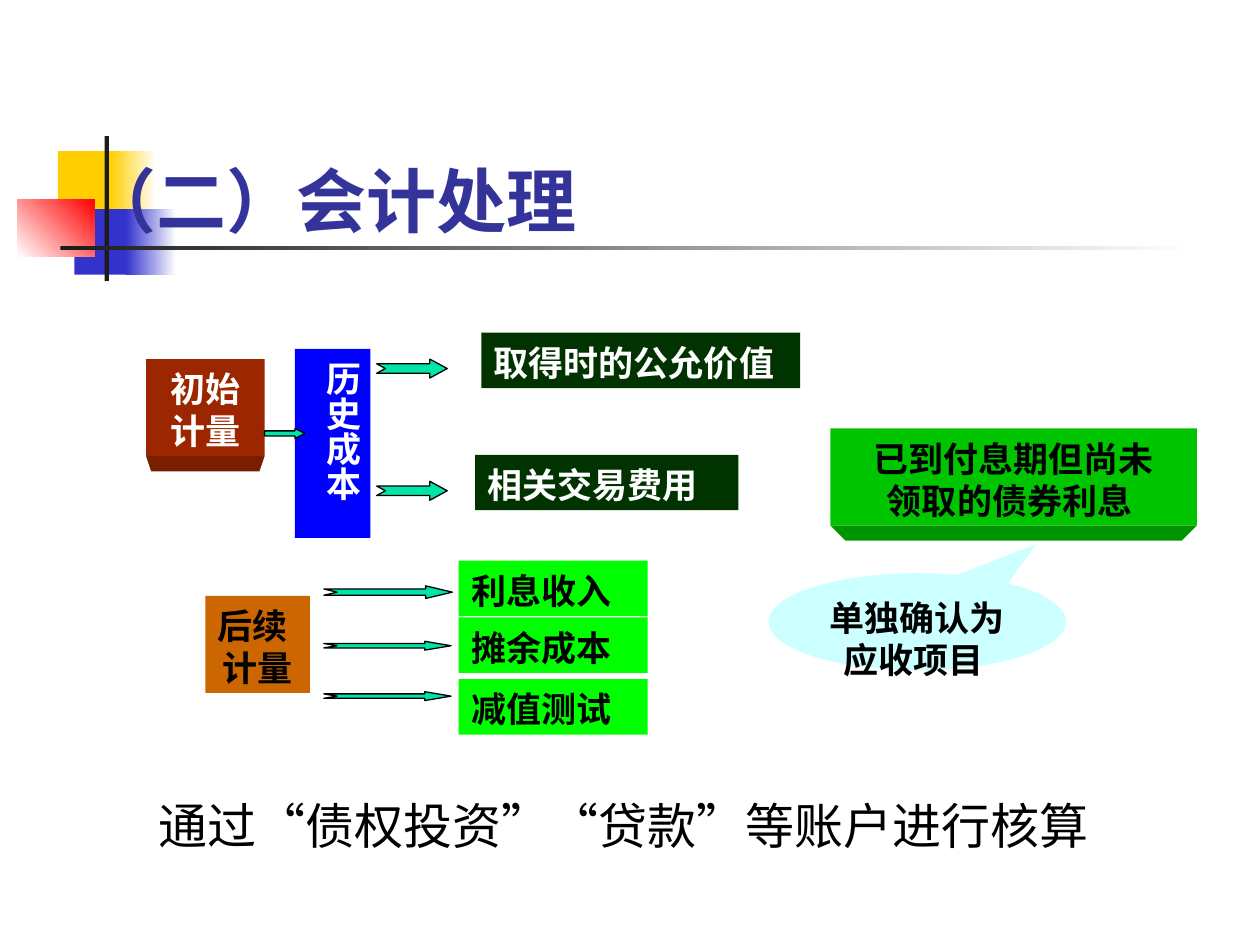
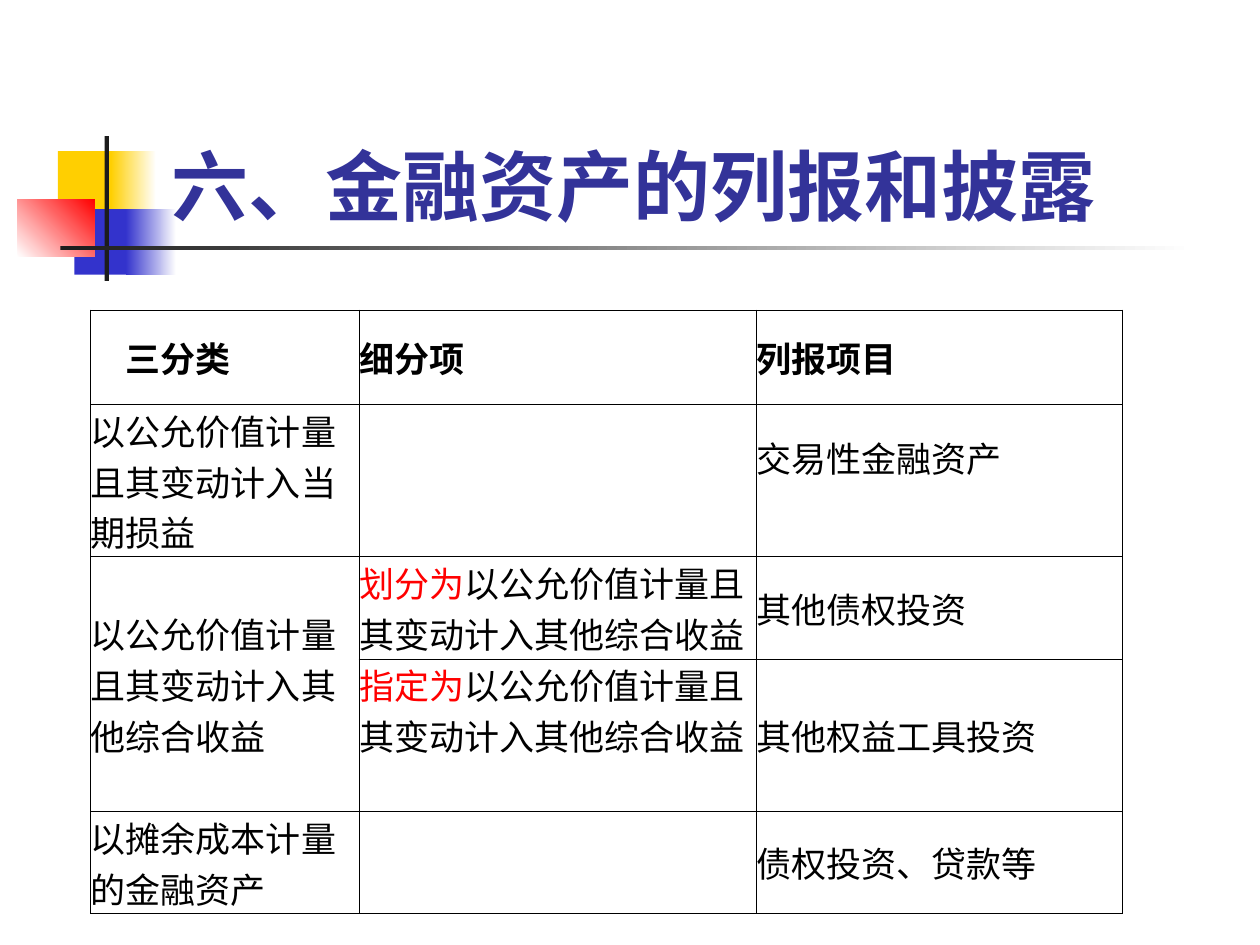
import pptx
import pptx.dml.color
import pptx.enum.lang
import pptx.enum.shapes
import pptx.enum.text
import pptx.oxml
import pptx.oxml.ns
import pptx.util

RGBColor = pptx.dml.color.RGBColor
SHAPE = pptx.enum.shapes.MSO_SHAPE
ALIGN = pptx.enum.text.PP_ALIGN
ANCHOR = pptx.enum.text.MSO_ANCHOR

WHITE = RGBColor(0xFF, 0xFF, 0xFF)
BLACK = RGBColor(0x00, 0x00, 0x00)
YELLOW = RGBColor(0xFF, 0xCF, 0x01)
BLUE = RGBColor(0x33, 0x33, 0xCC)
RED = RGBColor(0xFF, 0x00, 0x00)
CHARCOAL = RGBColor(0x1C, 0x1C, 0x1C)
TITLE_BLUE = RGBColor(0x33, 0x33, 0x99)
BRICK = RGBColor(0x9C, 0x26, 0x00)
BRICK_EDGE = RGBColor(0x7A, 0x1E, 0x00)
GREEN = RGBColor(0x00, 0xC4, 0x00)
GREEN_EDGE = RGBColor(0x00, 0x94, 0x00)
FOREST = RGBColor(0x00, 0x33, 0x00)
LIME = RGBColor(0x00, 0xFF, 0x00)
ROYAL = RGBColor(0x00, 0x00, 0xFF)
ORANGE = RGBColor(0xCC, 0x66, 0x00)
MINT = RGBColor(0x00, 0xE4, 0xA8)
PALE_CYAN = RGBColor(0xCC, 0xFF, 0xFF)
SANS = "Noto Sans CJK SC"
TABLE_SANS = "Noto Sans CJK JP"
TITLE_FONT = "Lato"

deck = pptx.Presentation()
deck.slide_width = pptx.util.Inches(10)
deck.slide_height = pptx.util.Inches(7.5)
COLUMN = deck.slide_width // 100
ROW = deck.slide_height // 75


def add_block(page, kind, area, fill, outlined=False):
    left, top, width, height = area
    block = page.shapes.add_shape(
        kind, round(left * COLUMN), round(top * ROW), round(width * COLUMN), round(height * ROW))
    block.shadow.inherit = False
    if isinstance(fill, RGBColor):
        block.fill.solid()
        block.fill.fore_color.rgb = fill
    else:
        start, end, angle = fill
        block.fill.gradient()
        block.fill.gradient_angle = angle
        for stop, color in zip(block.fill.gradient_stops, (start, end)):
            stop.color.rgb = color
    if outlined:
        block.line.color.rgb = BLACK
        block.line.width = pptx.util.Pt(0.75)
    else:
        block.line.fill.background()
    return block


def style_paragraph(para, size, color, bold, latin=SANS, asian=SANS, align=ALIGN.LEFT):
    para.alignment = align
    for span in para.runs:
        span.font.size = pptx.util.Pt(size)
        span.font.bold = bold
        span.font.color.rgb = color
        span.font.name = latin
        span.font.language_id = pptx.enum.lang.MSO_LANGUAGE_ID.SIMPLIFIED_CHINESE
        face = pptx.oxml.parse_xml(f'<a:ea {pptx.oxml.ns.nsdecls("a")} typeface="{asian}"/>')
        span.font._element.find(pptx.oxml.ns.qn("a:latin")).addnext(face)


layout = deck.slide_layouts[5]
diagram = deck.slides.add_slide(layout)
report = deck.slides.add_slide(layout)

ornaments = [
    ((4.6, 12, 4.8, 5.2), YELLOW),
    ((8.8, 12, 3.6, 5.2), (YELLOW, WHITE, 0)),
    ((5.9, 16.6, 4.6, 5.2), BLUE),
    ((10, 16.6, 4, 5.2), (BLUE, WHITE, 0)),
    ((1.4, 15.8, 6.1, 4.6), (WHITE, RED, 45)),
    ((8.3, 10.8, 0.35, 11.5), CHARCOAL),
    ((4.8, 19.5, 90, 0.35), (CHARCOAL, WHITE, 0)),
]
for index, (area, fill) in enumerate(ornaments):
    ornament = add_block(diagram, SHAPE.RECTANGLE, area, fill)
    ornament.element.nvSpPr.cNvPr.set("id", str(20 + index))
    layout.shapes.element.insert(2 + index, ornament.element)

titles = [
    (diagram, "（二）会计处理", (5.9, 9.8, 90, 9.4), 40),
    (report, "六、金融资产的列报和披露", (12.6, 2.3, 85.2, 16), 44),
]
for page, words, (left, top, width, height), size in titles:
    title = page.shapes.title
    title.left, title.top = round(left * COLUMN), round(top * ROW)
    title.width, title.height = round(width * COLUMN), round(height * ROW)
    title.text_frame.text = words
    title.text_frame.auto_size = pptx.enum.text.MSO_AUTO_SIZE.NONE
    title.text_frame.vertical_anchor = ANCHOR.BOTTOM
    title.text_frame.margin_bottom = 0
    style_paragraph(title.text_frame.paragraphs[0], size, TITLE_BLUE, True, TITLE_FONT)

undersides = [
    ((11.6, 28.5, 9.4, 7.7), 0.4, BRICK_EDGE),
    ((65.9, 34, 29.1, 7.7), 1.2, GREEN_EDGE),
]
for (left, top, width, height), inset, color in undersides:
    base, right = top + height, left + width
    builder = diagram.shapes.build_freeform(round(left * COLUMN), round(base * ROW))
    corners = [(right, base), (right - inset, base + 1.2), (left + inset, base + 1.2)]
    builder.add_line_segments([(round(x * COLUMN), round(y * ROW)) for x, y in corners])
    underside = builder.convert_to_shape()
    underside.shadow.inherit = False
    underside.fill.solid()
    underside.fill.fore_color.rgb = color
    underside.line.fill.background()

LEFT, CENTER = ALIGN.LEFT, ALIGN.CENTER
BOX, BALLOON = SHAPE.RECTANGLE, SHAPE.OVAL_CALLOUT
labels = [
    (BOX, (11.6, 28.5, 9.4, 7.7), BRICK, WHITE, "初始\n计量", (CENTER, CENTER)),
    (BOX, (38.2, 26.4, 25.3, 4.4), FOREST, WHITE, "取得时的公允价值", (LEFT,)),
    (BOX, (37.7, 36.1, 20.9, 4.4), FOREST, WHITE, "相关交易费用", (LEFT,)),
    (BOX, (65.9, 34, 29.1, 7.7), GREEN, BLACK, "已到付息期但尚未\n领取的债券利息 ", (CENTER, CENTER)),
    (BOX, (23.4, 27.7, 6, 15), ROYAL, WHITE, "历史成本", (LEFT,)),
    (BALLOON, (61, 45.5, 23.6, 7.7), PALE_CYAN, BLACK, "单独确认为\n应收项目 ", (CENTER, CENTER)),
    (BOX, (16.3, 47.3, 8.3, 7.7), ORANGE, BLACK, "后续\n计量", (LEFT, CENTER)),
    (BOX, (36.4, 44.5, 15, 4.4), LIME, BLACK, "利息收入", (LEFT,)),
    (BOX, (36.4, 49, 15, 4.4), LIME, BLACK, "摊余成本", (LEFT,)),
    (BOX, (36.4, 53.9, 15, 4.4), LIME, BLACK, "减值测试", (LEFT,)),
]
for kind, area, fill, ink, words, alignments in labels:
    label = add_block(diagram, kind, area, fill)
    frame = label.text_frame
    frame.text = words
    frame.word_wrap = True
    frame.vertical_anchor = ANCHOR.TOP
    frame.margin_top = round(0.7 * ROW)
    for para, align in zip(frame.paragraphs, alignments):
        style_paragraph(para, 20, ink, True, align=align)
        para.line_spacing = pptx.util.Pt(24)
    if kind == BALLOON:
        label.adjustments[0], label.adjustments[1] = 0.4, -0.8
    if words == "历史成本":
        frame._txBody.bodyPr.set("vert", "eaVert")
        frame.margin_top = ROW
        frame.margin_right = round(0.5 * COLUMN)

NOTCHED = SHAPE.NOTCHED_RIGHT_ARROW
arrows = [
    (NOTCHED, (29.9, 28.5, 5.6, 1.5), 0.92),
    (NOTCHED, (29.9, 38.2, 5.6, 1.5), 0.92),
    (SHAPE.RIGHT_ARROW, (21, 34, 3.2, 0.8), 0.99),
    (NOTCHED, (25.7, 46.5, 10.2, 1), 2.12),
    (NOTCHED, (25.7, 50.9, 10.1, 0.7), 2.98),
    (NOTCHED, (25.7, 54.9, 10.1, 0.7), 2.98),
]
for kind, area, head in arrows:
    arrow = add_block(diagram, kind, area, MINT, outlined=True)
    arrow.adjustments[0], arrow.adjustments[1] = 0.5, head

summary = diagram.shapes.add_textbox(
    round(11.6 * COLUMN), round(62.4 * ROW), round(75.9 * COLUMN), round(5.7 * ROW))
summary.text_frame.text = "通过“债权投资”“贷款”等账户进行核算"
summary.text_frame.word_wrap = False
summary.text_frame.margin_top = round(0.7 * ROW)
style_paragraph(summary.text_frame.paragraphs[0], 28, BLACK, False)
summary.text_frame.paragraphs[0].line_spacing = pptx.util.Pt(33.6)

OTHER_INCOME = "以公允价值计量且其变动计入其他综合收益"
entries = [
    ["　三分类", "细分项", "列报项目"],
    ["以公允价值计量且其变动计入当期损益", "", "交易性金融资产"],
    [OTHER_INCOME, ("划分为", OTHER_INCOME), "其他债权投资"],
    ["", ("指定为", OTHER_INCOME), "其他权益工具投资"],
    ["以摊余成本计量的金融资产", "", "债权投资、贷款等"],
]
widths = [21.3, 31.5, 29.1]
heights = [7.5, 12.1, 8.1, 12.1, 8.1]
table = report.shapes.add_table(
    len(heights), len(widths), round(7.2 * COLUMN), round(24.6 * ROW),
    round(sum(widths) * COLUMN), round(sum(heights) * ROW)).table
table.first_row = table.horz_banding = False
for column, width in zip(table.columns, widths):
    column.width = round(width * COLUMN)
for row, height in zip(table.rows, heights):
    row.height = round(height * ROW)
table.cell(2, 0).merge(table.cell(3, 0))

for row_index, row_entries in enumerate(entries):
    for column_index, entry in enumerate(row_entries):
        cell = table.cell(row_index, column_index)
        cell.margin_left = cell.margin_right = cell.margin_top = cell.margin_bottom = 0
        cell.vertical_anchor = ANCHOR.MIDDLE
        properties = cell._tc.get_or_add_tcPr()
        for side in ("lnL", "lnR", "lnT", "lnB"):
            properties.append(pptx.oxml.parse_xml(
                f'<a:{side} {pptx.oxml.ns.nsdecls("a")} w="6350"><a:solidFill>'
                f'<a:srgbClr val="{BLACK}"/></a:solidFill></a:{side}>'))
        cell.fill.background()
        if not entry:
            continue
        para = cell.text_frame.paragraphs[0]
        for words in entry if isinstance(entry, tuple) else (entry,):
            para.add_run().text = words
        font = SANS if row_index == 0 else TABLE_SANS
        style_paragraph(para, 20, BLACK, row_index == 0, font, font)
        if isinstance(entry, tuple):
            para.runs[0].font.color.rgb = RED
table.cell(1, 2).margin_bottom = round(3.7 * ROW)
table.cell(3, 1).vertical_anchor = ANCHOR.TOP

deck.save("out.pptx")
